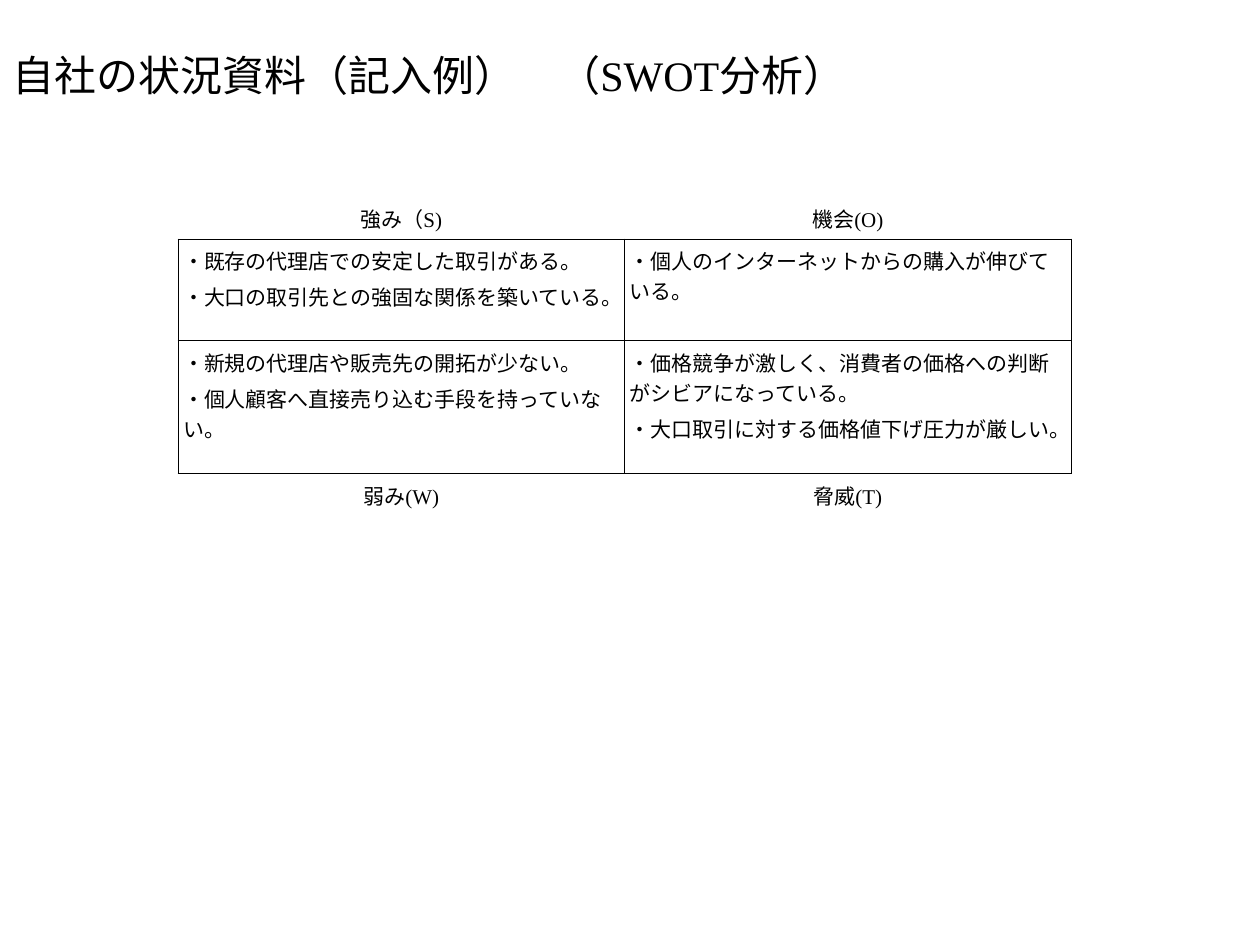
from lxml.etree import SubElement as Sub
from pptx import Presentation
from pptx.dml.color import RGBColor
from pptx.enum.text import MSO_ANCHOR as Anchor, PP_ALIGN as Align
from pptx.oxml.ns import qn
from pptx.util import Pt

FONT, INK = "Times New Roman", "000000"
TITLE = "自社の状況資料（記入例）　（SWOT分析）"

# Each row: height, then the lines of each cell
ROWS = [
    (24, ["強み（S)"], ["機会(O)"]),
    (58.2, ["・既存の代理店での安定した取引がある。",
            "・大口の取引先との強固な関係を築いている。"],
     ["・個人のインターネットからの購入が伸びている。"]),
    (76, ["・新規の代理店や販売先の開拓が少ない。",
          "・個人顧客へ直接売り込む手段を持っていない。"],
     ["・価格競争が激しく、消費者の価格への判断がシビアになっている。",
      "・大口取引に対する価格値下げ圧力が厳しい。"]),
    (24, ["弱み(W)"], ["脅威(T)"]),
]
LEFT, TOP, COL = 101.7, 112.5, 255.2
LAST = len(ROWS) - 1


def color(code):
    return RGBColor.from_string(code)


def write(frame, lines, size, align=Align.LEFT, before=0):
    frame.word_wrap = True
    for i, line in enumerate(lines):
        para = frame.paragraphs[0] if i == 0 else frame.add_paragraph()
        para.text = line
        para.alignment = align
        para.space_before = Pt(before)
        para.font.size = Pt(size)
        para.font.name = FONT
        para.font.color.rgb = color(INK)


def edge(cell, sides):
    """Draw the named sides of a cell and clear the others."""
    props = cell._tc.get_or_add_tcPr()
    for side in "LRTB":
        line = Sub(props, qn("a:ln" + side), w=str(Pt(0.45)))
        if side in sides:
            fill = Sub(line, qn("a:solidFill"))
            Sub(fill, qn("a:srgbClr"), val=INK)
        else:
            Sub(line, qn("a:noFill"))


deck = Presentation()
deck.slide_width, deck.slide_height = Pt(720), Pt(540)
slide = deck.slides.add_slide(deck.slide_layouts[6])

# Title
box = slide.shapes.add_textbox(Pt(0), Pt(17.3), Pt(720), Pt(43.2))
box.text_frame.vertical_anchor = Anchor.BOTTOM
write(box.text_frame, [TITLE], 24)

# SWOT grid: labels above and below, boxed cells between
high = sum(row[0] for row in ROWS)
table = slide.shapes.add_table(len(ROWS), 2, Pt(LEFT), Pt(TOP),
                               Pt(2 * COL), Pt(high)).table
table.first_row = table.horz_banding = False
for col in table.columns:
    col.width = Pt(COL)
for r, (tall, *cells) in enumerate(ROWS):
    table.rows[r].height = Pt(tall)
    label = r in (0, LAST)
    for c, lines in enumerate(cells):
        cell = table.cell(r, c)
        cell.margin_left = cell.margin_right = Pt(2.9)
        cell.margin_top = cell.margin_bottom = Pt(3.6)
        edge(cell, {0: "B", LAST: "T"}.get(r, "LRTB"))
        cell.fill.background()
        write(cell.text_frame, lines, 12,
              Align.CENTER if label else Align.LEFT, 3)

deck.save("out.pptx")
